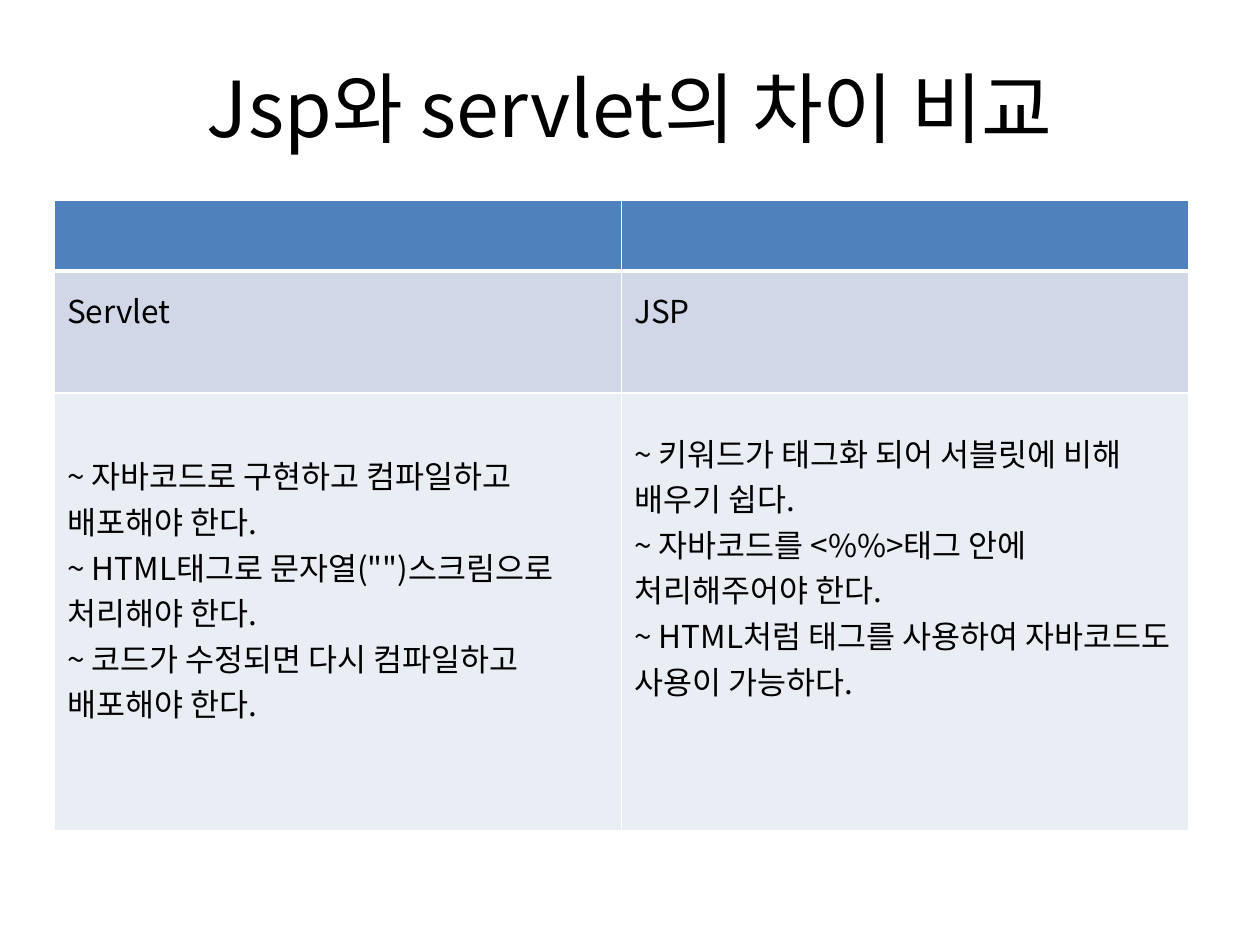
from lxml import etree
from pptx import Presentation
from pptx.dml.color import RGBColor
from pptx.enum import text
from pptx.oxml import ns
from pptx.util import Pt

FONT = "Noto Sans CJK KR"
COLORS = {"ink": "000000", "rule": "FFFFFF", "header": "4F81BD",
          "names": "D0D8E8", "details": "E9EDF4"}
LINE = 26  # height of one line of body text
MARGIN = 3.6

SERVLET = ["~ 자바코드로 구현하고 컴파일하고 배포해야 한다.",
           '~ HTML태그로 문자열("")스크림으로 처리해야 한다.',
           "~ 코드가 수정되면 다시 컴파일하고 배포해야 한다."]
JSP = ["~ 키워드가 태그화 되어 서블릿에 비해 배우기 쉽다.",
       "~ 자바코드를 <%%>태그 안에 처리해주어야 한다.",
       "~ HTML처럼 태그를 사용하여 자바코드도 사용이 가능하다."]

# Each row: fill, height, and per cell its paragraphs and free lines below them
ROWS = [("header", 40.3, [([], 0), ([], 0)]),
        ("names", 69.8, [(["Servlet"], 1), (["JSP"], 1)]),
        ("details", 249.9, [(SERVLET, 1), (JSP, 2)])]


class SlideBuilder:
    def __init__(self, deck):
        self.page = deck.slides.add_slide(deck.slide_layouts[5])

    def add_lines(self, frame, lines, size, align):
        for index, line in enumerate(lines):
            para = frame.paragraphs[0] if index == 0 else frame.add_paragraph()
            para.alignment = align
            span = para.add_run()
            span.text = line
            span.font.name = FONT
            span.font.size = Pt(size)
            span.font.bold = False
            span.font.color.rgb = RGBColor.from_string(COLORS["ink"])
            east_asian = etree.SubElement(span.font._element, ns.qn("a:ea"))
            east_asian.set("typeface", FONT)

    def title(self, words, left, top, width, height):
        box = self.page.shapes.title
        box.left, box.top, box.width, box.height = map(Pt, (left, top, width, height))
        box.text_frame.vertical_anchor = text.MSO_ANCHOR.MIDDLE
        self.add_lines(box.text_frame, [words], 44, text.PP_ALIGN.CENTER)

    def border(self, cell, top, bottom):
        properties = cell._tc.get_or_add_tcPr()
        for side, width in (("L", 1), ("R", 1), ("T", top), ("B", bottom)):
            line = etree.SubElement(properties, ns.qn(f"a:ln{side}"), w=str(Pt(width)))
            fill = etree.SubElement(line, ns.qn("a:solidFill"))
            etree.SubElement(fill, ns.qn("a:srgbClr"), val=COLORS["rule"])

    def table(self, rows, left, top, width):
        columns = len(rows[0][2])
        height = sum(row[1] for row in rows)
        grid = self.page.shapes.add_table(
            len(rows), columns, Pt(left), Pt(top), Pt(width), Pt(height)).table
        for column in grid.columns:
            column.width = Pt(width / columns)
        for r, (color, row_height, contents) in enumerate(rows):
            grid.rows[r].height = Pt(row_height)
            for c, (lines, free_lines) in enumerate(contents):
                cell = grid.cell(r, c)
                # The thick rule runs between the header and the next row
                self.border(cell, 3 if r == 1 else 1, 3 if r == 0 else 1)
                cell.fill.solid()
                cell.fill.fore_color.rgb = RGBColor.from_string(COLORS[color])
                cell.vertical_anchor = text.MSO_ANCHOR.MIDDLE
                cell.margin_bottom = Pt(MARGIN + free_lines * LINE)
                self.add_lines(cell.text_frame, lines, 18, text.PP_ALIGN.LEFT)


def main():
    deck = Presentation()
    deck.slide_width, deck.slide_height = Pt(720), Pt(540)
    builder = SlideBuilder(deck)
    builder.title("Jsp와 servlet의 차이 비교", 36, 21.6, 648, 78.5)
    builder.table(ROWS, 31.2, 114.6, 648)
    deck.save("out.pptx")


if __name__ == "__main__":
    main()
